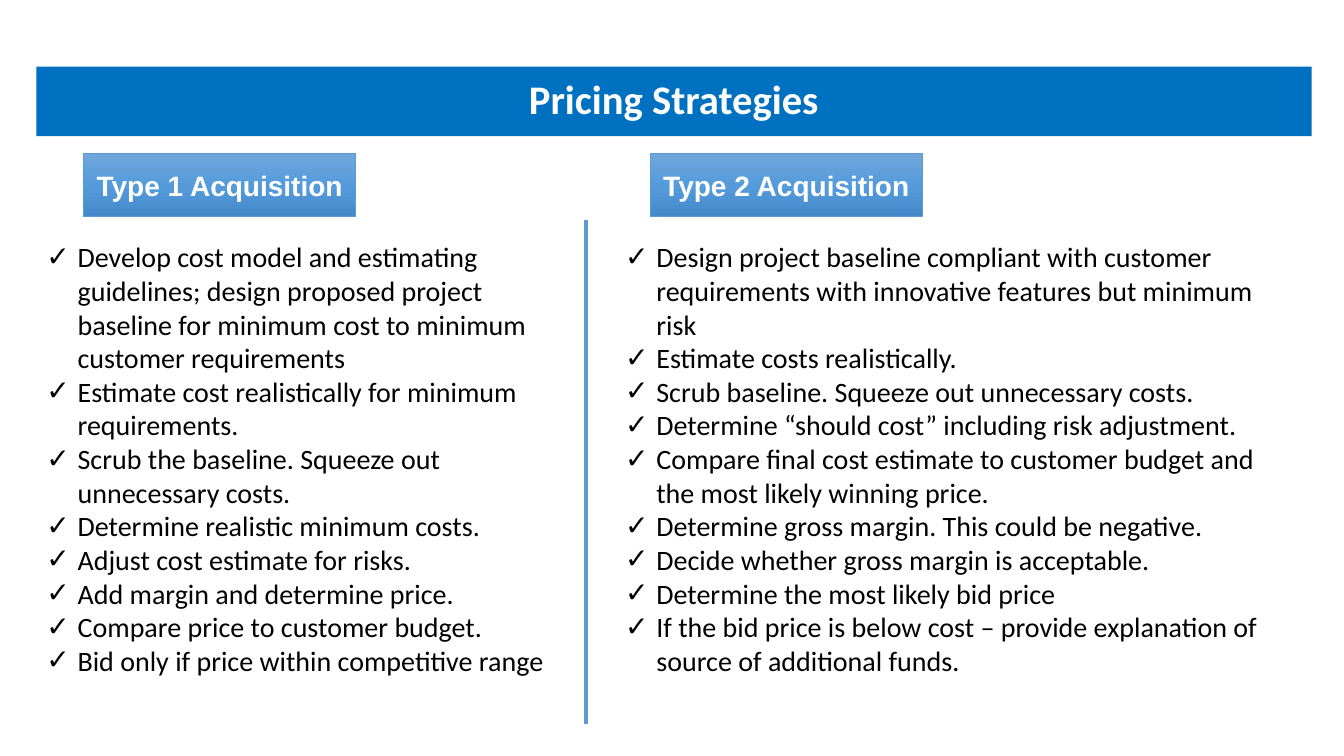
from dataclasses import dataclass

from lxml import etree
from pptx import Presentation
from pptx.dml.color import RGBColor
from pptx.enum.shapes import MSO_CONNECTOR, MSO_SHAPE
from pptx.enum.text import MSO_ANCHOR, MSO_AUTO_SIZE, PP_ALIGN
from pptx.oxml.ns import qn
from pptx.util import Emu, Pt

RECTANGLE = MSO_SHAPE.RECTANGLE
STRAIGHT = MSO_CONNECTOR.STRAIGHT
CENTER = PP_ALIGN.CENTER
LEFT = PP_ALIGN.LEFT
MIDDLE = MSO_ANCHOR.MIDDLE
TOP = MSO_ANCHOR.TOP
NO_AUTOFIT = MSO_AUTO_SIZE.NONE

EMU_PER_PX = 9144  # 100 px to the inch
TWO_CONTENT_LAYOUT = 3
WHITE, BLACK = "FFFFFF", "000000"
TITLE_BLUE, LINE_BLUE = "0070C0", "5B9BD5"
HEADING_STOPS = ((0, "71A6DB"), (50, "559BDB"), (100, "448ACA"))
BULLET_INDENT = 31


@dataclass(frozen=True)
class Box:
    left: int
    top: int
    width: int
    height: int


@dataclass(frozen=True)
class Column:
    placeholder: int
    heading: str
    heading_box: Box
    list_box: Box
    items: tuple[str, ...]


TITLE_BOX = Box(36, 66, 1265, 69)
COLUMNS = (
    Column(1, "Type 1 Acquisition", Box(83, 152, 270, 63), Box(36, 233, 538, 481), (
        "Develop cost model and estimating guidelines; design proposed project "
        "baseline for minimum cost to minimum customer requirements",
        "Estimate cost realistically for minimum requirements.",
        "Scrub the baseline. Squeeze out unnecessary costs.",
        "Determine realistic minimum costs.",
        "Adjust cost estimate for risks.",
        "Add margin and determine price.",
        "Compare price to customer budget.",
        "Bid only if price within competitive range",
    )),
    Column(2, "Type 2 Acquisition", Box(645, 152, 270, 63), Box(610, 233, 671, 448), (
        "Design project baseline compliant with customer requirements with "
        "innovative features but minimum risk",
        "Estimate costs realistically.",
        "Scrub baseline. Squeeze out unnecessary costs.",
        "Determine “should cost” including risk adjustment.",
        "Compare final cost estimate to customer budget and the most likely winning price.",
        "Determine gross margin. This could be negative.",
        "Decide whether gross margin is acceptable.",
        "Determine the most likely bid price",
        "If the bid price is below cost – provide explanation of source of additional funds.",
    )),
)


def px(length: int) -> Emu:
    return Emu(length * EMU_PER_PX)


def color(value: str) -> RGBColor:
    return RGBColor.from_string(value)


def place(shape, box: Box) -> None:
    shape.left, shape.top = px(box.left), px(box.top)
    shape.width, shape.height = px(box.width), px(box.height)


def prepare_frame(shape, anchor):
    frame = shape.text_frame
    frame.word_wrap = True
    frame.auto_size = NO_AUTOFIT
    frame.vertical_anchor = anchor
    return frame


def add_text(para, text: str, size: int, font: str, fill: str,
             bold: bool = False, align=CENTER, line_spacing: float = 1.0) -> None:
    para.alignment = align
    para.line_spacing = line_spacing
    para.space_before = para.space_after = Pt(0)
    span = para.add_run()
    span.text = text
    span.font.size = Pt(size)
    span.font.name = font
    span.font.bold = bold
    span.font.color.rgb = color(fill)


def add_check_bullet(para) -> None:
    properties = para._p.get_or_add_pPr()
    properties.set("marL", str(px(BULLET_INDENT)))
    properties.set("indent", str(px(-BULLET_INDENT)))
    etree.SubElement(properties, qn("a:buFont"), typeface="Arial")
    etree.SubElement(properties, qn("a:buChar"), char="✓")


def fill_gradient(shape, stops: tuple[tuple[int, str], ...]) -> None:
    shape.fill.gradient()
    shape.fill.gradient_angle = 270  # top to bottom
    stop_list = shape._element.spPr.find(qn("a:gradFill")).find(qn("a:gsLst"))
    for stop in list(stop_list):
        stop_list.remove(stop)
    for percent, value in stops:
        stop = etree.SubElement(stop_list, qn("a:gs"), pos=str(percent * 1000))
        etree.SubElement(stop, qn("a:srgbClr"), val=value)


def draw_title(page) -> None:
    title = page.shapes.title
    place(title, TITLE_BOX)
    title.fill.solid()
    title.fill.fore_color.rgb = color(TITLE_BLUE)
    frame = prepare_frame(title, MIDDLE)
    add_text(frame.paragraphs[0], "Pricing Strategies", 29, "Calibri", WHITE,
             bold=True, line_spacing=0.9)


def draw_list(page, column: Column) -> None:
    body = page.placeholders[column.placeholder]
    place(body, column.list_box)
    frame = prepare_frame(body, TOP)
    for number, item in enumerate(column.items):
        para = frame.add_paragraph() if number else frame.paragraphs[0]
        add_text(para, item, 20, "Calibri", BLACK, align=LEFT)
        add_check_bullet(para)


def draw_heading(page, column: Column) -> None:
    box = column.heading_box
    heading = page.shapes.add_shape(
        RECTANGLE, px(box.left), px(box.top), px(box.width), px(box.height))
    heading.shadow.inherit = False
    fill_gradient(heading, HEADING_STOPS)
    heading.line.color.rgb = color(LINE_BLUE)
    heading.line.width = Pt(0.5)
    frame = prepare_frame(heading, MIDDLE)
    add_text(frame.paragraphs[0], column.heading, 20, "Arial", WHITE, bold=True)


def draw_divider(page) -> None:
    divider = page.shapes.add_connector(STRAIGHT, px(581), px(218), px(581), px(718))
    divider.line.color.rgb = color(LINE_BLUE)
    divider.line.width = Pt(3)
    etree.SubElement(divider._element.spPr, qn("a:effectLst"))


def main() -> None:
    deck = Presentation()
    deck.slide_width, deck.slide_height = px(1333), px(750)
    page = deck.slides.add_slide(deck.slide_layouts[TWO_CONTENT_LAYOUT])

    # Title bar
    draw_title(page)

    # One heading and one checklist for each acquisition type
    for column in COLUMNS:
        draw_list(page, column)
        draw_heading(page, column)

    # Line between the columns
    draw_divider(page)
    deck.save("out.pptx")


if __name__ == "__main__":
    main()
